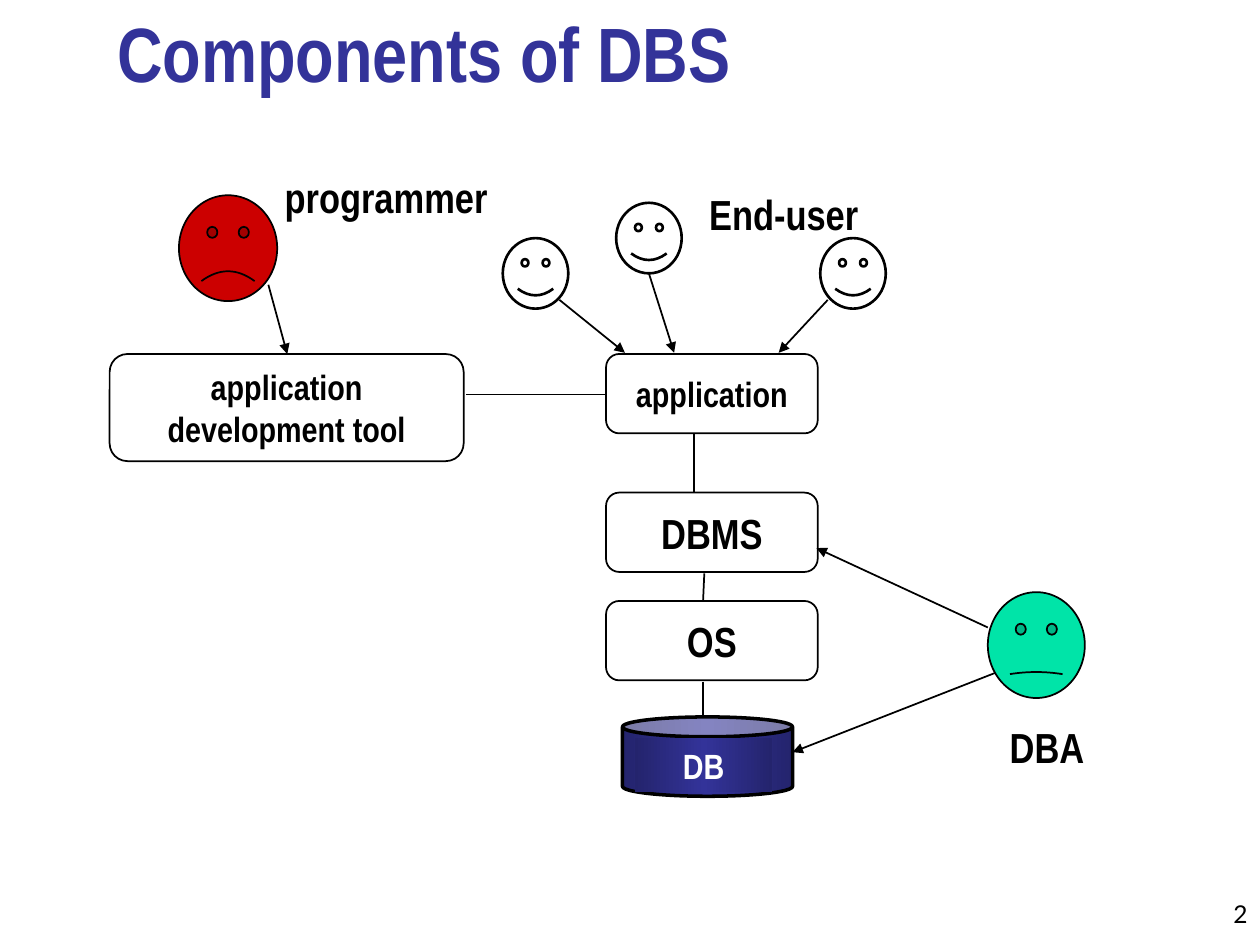
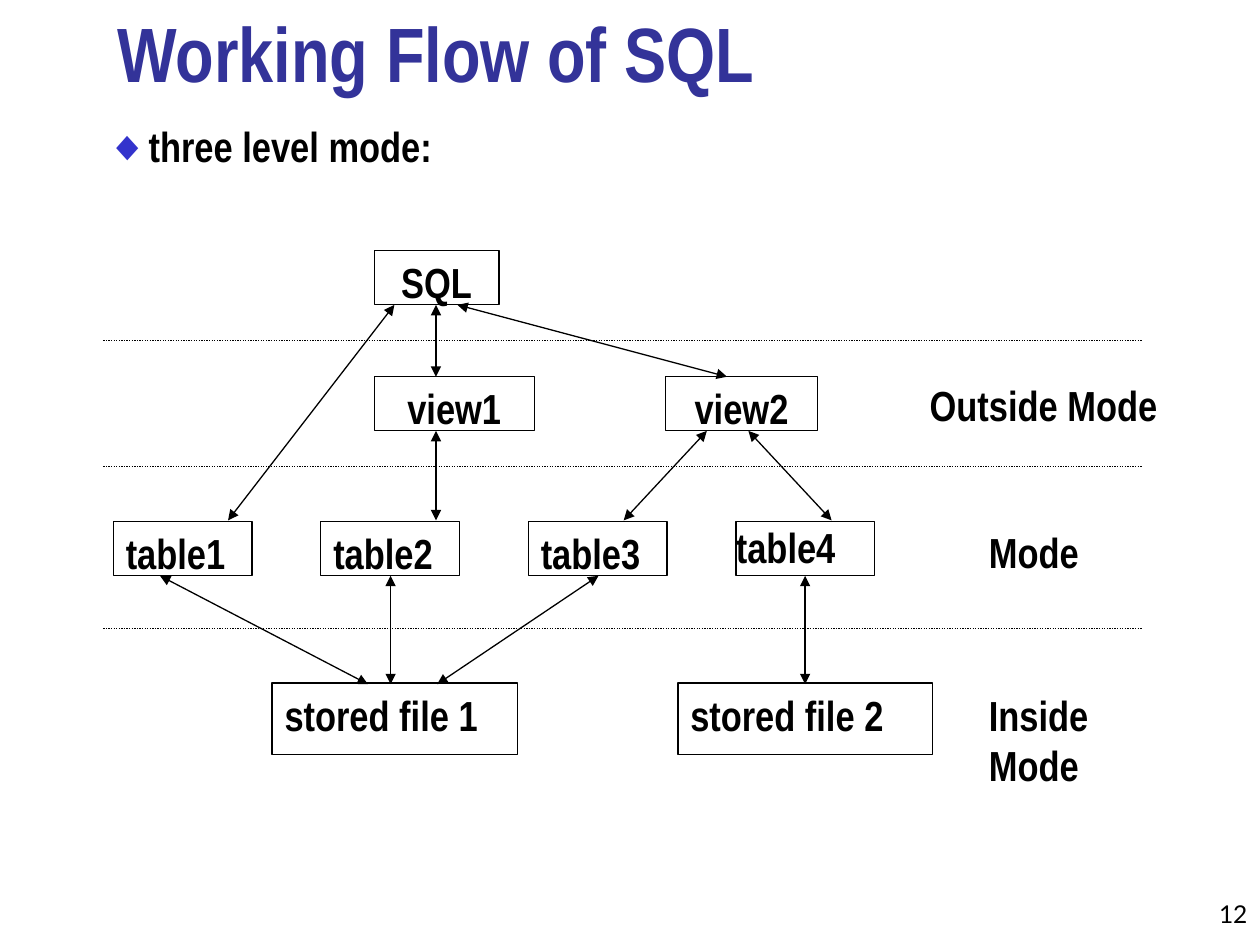
"""Build two slides on database system components and the working flow of SQL."""
import copy
import dataclasses

import lxml.etree
import pptx
import pptx.dml.color
import pptx.enum.dml
import pptx.enum.shapes
import pptx.enum.text
import pptx.oxml.ns
import pptx.util

SHAPE = pptx.enum.shapes.MSO_SHAPE
ALIGN = pptx.enum.text.PP_ALIGN
ANCHOR = pptx.enum.text.MSO_ANCHOR
COLUMNS, ROWS = 100, 75


@dataclasses.dataclass(frozen=True)
class Theme:
    font: str = "Arial Narrow"
    number_font: str = "Lato"
    title_color: str = "333399"
    bullet_color: str = "3333CC"
    shade: str = "24246D"
    ink: str = "000000"
    paper: str = "FFFFFF"
    programmer: str = "CC0000"
    administrator: str = "00E4A8"
    title_size: int = 44
    body_size: int = 24
    small_size: int = 20
    number_size: int = 14
    thin: float = 0.75
    normal: float = 1
    medium: float = 1.5
    thick: float = 2


class Deck:
    def __init__(self, theme):
        self.theme = theme
        self.presentation = pptx.Presentation()
        self.presentation.slide_width = pptx.util.Inches(10)
        self.presentation.slide_height = pptx.util.Inches(7.5)
        self.slide = None

    def across(self, columns):
        return round(self.presentation.slide_width * columns / COLUMNS)

    def down(self, rows):
        return round(self.presentation.slide_height * rows / ROWS)

    def place(self, left, top, width, height):
        return self.across(left), self.down(top), self.across(width), self.down(height)

    def color(self, value):
        return pptx.dml.color.RGBColor.from_string(value)

    def style_run(self, run, size, color, font=None, bold=True):
        run.font.name = font or self.theme.font
        run.font.size = pptx.util.Pt(size)
        run.font.bold = bold
        run.font.color.rgb = self.color(color)

    def set_text(self, shape, text, size=None, color=None, align=ALIGN.LEFT,
                 anchor=ANCHOR.TOP, wrap=True, font=None, bold=True):
        frame = shape.text_frame
        frame.text = text
        frame.word_wrap = wrap
        frame.auto_size = pptx.enum.text.MSO_AUTO_SIZE.NONE
        frame.vertical_anchor = anchor
        paragraph = frame.paragraphs[0]
        paragraph.alignment = align
        for run in paragraph.runs:
            self.style_run(run, size or self.theme.body_size, color or self.theme.ink, font, bold)
        return paragraph

    def start(self, title, number):
        self.slide = self.presentation.slides.add_slide(self.presentation.slide_layouts[5])
        self.slide.background.fill.solid()
        self.slide.background.fill.fore_color.rgb = self.color(self.theme.paper)
        heading = self.slide.shapes.title
        heading.left, heading.top, heading.width, heading.height = self.place(8.3, 0.8, 85.2, 7.5)
        self.set_text(heading, title, self.theme.title_size, self.theme.title_color,
                      anchor=ANCHOR.BOTTOM)
        self.label(number, 93.3, 69.2, 6.7, 5, size=self.theme.number_size, align=ALIGN.RIGHT,
                   anchor=ANCHOR.BOTTOM, font=self.theme.number_font, bold=False)

    def label(self, text, left, top, width, height, **style):
        box = self.slide.shapes.add_textbox(*self.place(left, top, width, height))
        return self.set_text(box, text, **style)

    def bullet(self, text, left, top, width, height):
        paragraph = self.label("◆", left, top, width, height, color=self.theme.bullet_color)
        run = paragraph.add_run()
        run.text = text
        self.style_run(run, self.theme.body_size, self.theme.ink)

    def shape(self, kind, left, top, width, height, fill=None, line=None):
        shape = self.slide.shapes.add_shape(kind, *self.place(left, top, width, height))
        shape.shadow.inherit = False
        if fill:
            shape.fill.solid()
            shape.fill.fore_color.rgb = self.color(fill)
        else:
            shape.fill.background()
        if line:
            shape.line.color.rgb = self.color(self.theme.ink)
            shape.line.width = pptx.util.Pt(line)
        else:
            shape.line.fill.background()
        return shape

    def rounded(self, text, left, top, width, height, size=None, wrap=False):
        box = self.shape(SHAPE.ROUNDED_RECTANGLE, left, top, width, height, line=self.theme.normal)
        self.set_text(box, text, size, align=ALIGN.CENTER, anchor=ANCHOR.MIDDLE, wrap=wrap)

    def box(self, text, left, top, width, height, align=ALIGN.JUSTIFY, inset=True):
        box = self.shape(SHAPE.RECTANGLE, left, top, width, height, line=self.theme.thin)
        self.set_text(box, text, align=align)
        if not inset:
            frame = box.text_frame
            frame.margin_left = frame.margin_top = frame.margin_right = frame.margin_bottom = 0

    def face(self, left, top, width, height, smile, line, fill=None):
        face = self.shape(SHAPE.SMILEY_FACE, left, top, width, height, fill, line)
        face.adjustments[0] = smile

    def shade(self, shape):
        shape.fill.gradient()
        shape.fill.gradient_angle = 0
        stop_list = shape.element.xpath(".//a:gsLst")[0]
        stop_list.append(copy.deepcopy(stop_list[0]))
        colors = (self.theme.shade, self.theme.title_color, self.theme.shade)
        for stop, position, color in zip(shape.fill.gradient_stops, (0, 0.5, 1), colors):
            stop.position = position
            stop.color.rgb = self.color(color)

    def database(self, text, left, top, width, height):
        can = self.shape(SHAPE.CAN, left, top, width, height, line=self.theme.thick)
        self.shade(can)
        front = self.shape(SHAPE.RECTANGLE, left + 1, top + 1.7, width - 2.6, height - 2)
        self.shade(front)
        self.set_text(front, text, self.theme.small_size, self.theme.paper, ALIGN.CENTER)

    def line(self, start, end, width=None, heads=(), dash=None):
        connector = self.slide.shapes.add_connector(
            pptx.enum.shapes.MSO_CONNECTOR.STRAIGHT,
            self.across(start[0]), self.down(start[1]), self.across(end[0]), self.down(end[1]))
        connector.line.color.rgb = self.color(self.theme.ink)
        connector.line.width = pptx.util.Pt(width or self.theme.normal)
        if dash:
            connector.line.dash_style = dash
        properties = connector.element.spPr
        outline = properties.find(pptx.oxml.ns.qn("a:ln"))
        for head in heads:
            lxml.etree.SubElement(outline, pptx.oxml.ns.qn(f"a:{head}")).set("type", "triangle")
        lxml.etree.SubElement(properties, pptx.oxml.ns.qn("a:effectLst"))

    def arrow(self, start, end):
        self.line(start, end, heads=("tailEnd",))

    def double_arrow(self, start, end):
        self.line(start, end, self.theme.thin, ("headEnd", "tailEnd"))


def build_components(deck):
    theme = deck.theme
    deck.start("Components of DBS", "2")

    deck.database("DB", 49.4, 56.9, 13.5, 6.3)
    stack = (("application", 28.1, theme.small_size), ("DBMS", 39.1, theme.body_size),
             ("OS", 47.7, theme.body_size))
    for text, top, size in stack:
        deck.rounded(text, 48.1, top, 16.8, 6.3, size)
    deck.rounded("application development tool", 8.7, 28.1, 28.1, 8.5, theme.small_size, True)
    links = (((37, 31.3), (48.1, 31.3)), ((55.1, 34.4), (55.1, 39.1)),
             ((55.9, 45.5), (55.8, 47.7)), ((55.8, 54.1), (55.8, 56.9)))
    for start, end in links:
        deck.line(start, end)

    end_users = ((39.9, 18.9, (44.4, 23.8), (49.6, 28)),
                 (48.9, 16.1, (51.5, 21.7), (53.5, 28)),
                 (65.1, 18.9, (65.7, 23.8), (61.8, 28)))
    for left, top, start, end in end_users:
        deck.face(left, top, 5.2, 5.6, 0.05, theme.medium)
        deck.arrow(start, end)
    deck.label("End-user", 55.3, 14.5, 13.9, 5, wrap=False)

    deck.face(14.2, 15.5, 7.8, 8.4, -0.05, theme.normal, theme.programmer)
    deck.arrow((21.3, 22.6), (22.8, 28.1))
    deck.label("programmer", 21.6, 13.1, 18.1, 5, align=ALIGN.CENTER, wrap=False)

    deck.face(78.4, 47, 7.7, 8.4, -0.01, theme.normal, theme.administrator)
    deck.arrow((79, 53.4), (62.9, 59.7))
    deck.arrow((78.4, 49.8), (64.8, 43.5))
    deck.label("DBA", 79.1, 56.8, 8, 5, align=ALIGN.CENTER, wrap=False)


def build_working_flow(deck):
    deck.start("Working Flow of SQL", "12")
    deck.bullet("three level mode:", 7.5, 9.1, 85, 5)

    for text, left, top, width in (("SQL", 29.7, 19.9, 9.9), ("view1", 29.7, 29.9, 12.7),
                                   ("view2", 52.8, 29.9, 12.1)):
        deck.box(text, left, top, width, 4.3, ALIGN.CENTER)
    for index in range(4):
        deck.box(f"table{index + 1}", 9 + 16.47 * index, 41.4, 11, 4.3, inset=index < 3)
    for text, left, width in (("stored file 1", 21.6, 19.5), ("stored file 2", 53.8, 20.2)):
        deck.box(text, left, 54.2, width, 5.7)

    sql_bottom, view_top, view_bottom = 24.2, 29.9, 34.2
    table_top, table_bottom, file_top = 41.3, 45.7, 54.3
    flows = ((31.3, sql_bottom, 18.1, table_top), (34.6, sql_bottom, 34.6, view_top),
             (36.3, sql_bottom, 57.7, view_top), (34.6, view_bottom, 34.6, table_top),
             (56.1, view_bottom, 49.5, table_top), (59.4, view_bottom, 66, table_top),
             (12.7, table_bottom, 29.2, file_top), (31, table_bottom, 31, file_top),
             (47.5, table_bottom, 34.7, file_top), (63.9, table_bottom, 63.9, file_top))
    for start_x, start_y, end_x, end_y in flows:
        deck.double_arrow((start_x, start_y), (end_x, end_y))

    for level in (27, 37, 49.9):
        deck.line((8.2, level), (90.7, level), deck.theme.thin,
                  dash=pptx.enum.dml.MSO_LINE.ROUND_DOT)
    for text, left, top, width, height in (("Outside Mode", 72.8, 29.6, 22, 5.7),
                                           ("Mode", 77.5, 41.3, 11.5, 5.7),
                                           ("Inside Mode", 77.5, 54.2, 17.4, 10.9)):
        deck.label(text, left, top, width, height, align=ALIGN.JUSTIFY)


def main():
    deck = Deck(Theme())
    build_components(deck)
    build_working_flow(deck)
    deck.presentation.save("out.pptx")


if __name__ == "__main__":
    main()
